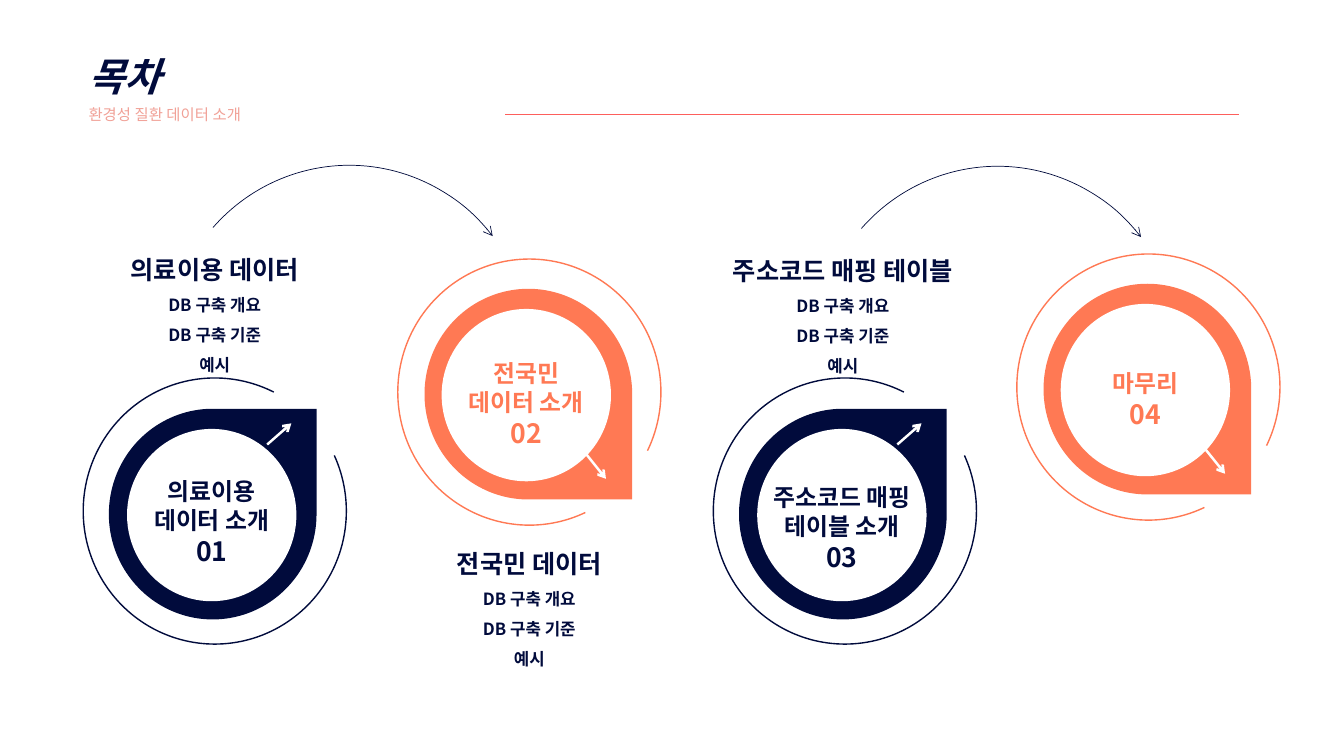
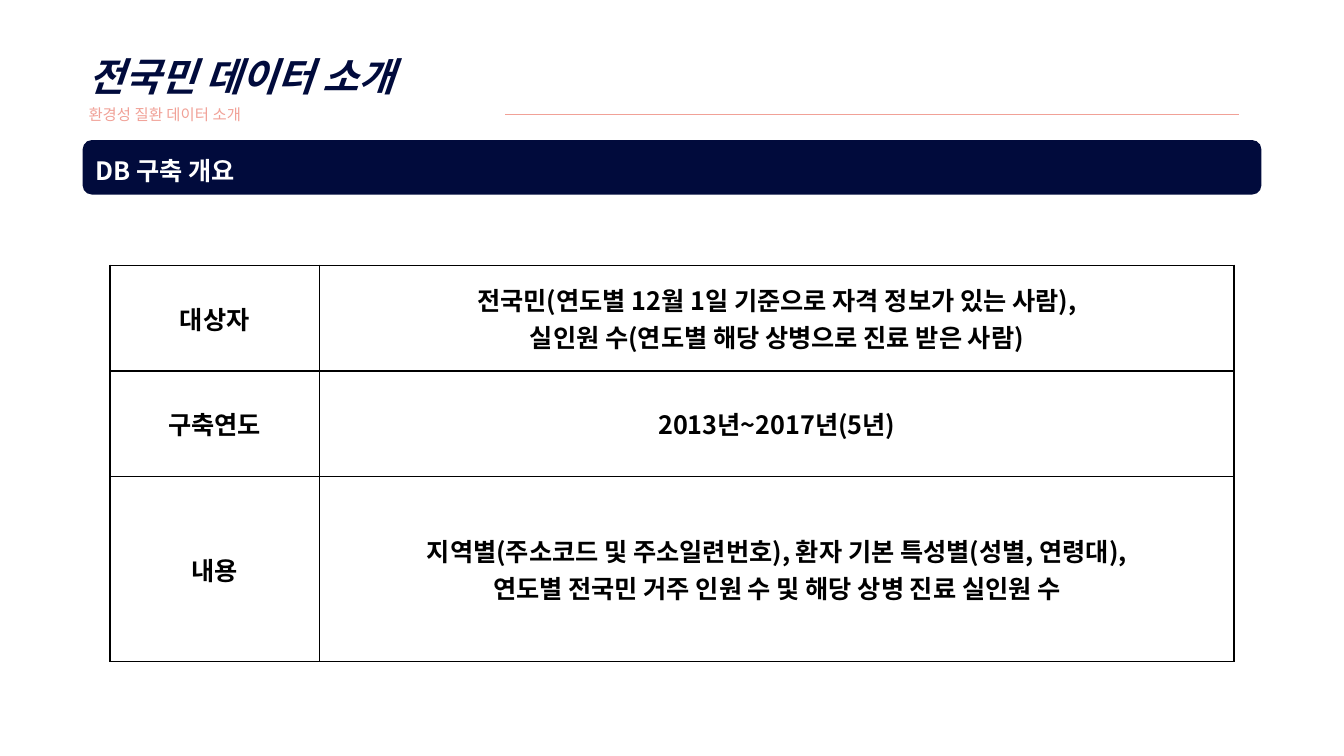
from dataclasses import dataclass

from lxml import etree
from pptx import Presentation
from pptx import util as u
from pptx.dml.color import RGBColor
from pptx.enum import shapes, text
from pptx.oxml import ns


@dataclass(frozen=True)
class Theme:
    font: str = "Noto Sans CJK KR"
    navy: str = "010B3C"
    coral: str = "FF7954"
    pink: str = "F1A197"
    red: str = "FD5F5C"
    white: str = "FFFFFF"
    black: str = "000000"
    title: float = 28
    subtitle: float = 11
    heading: float = 18
    item: float = 12
    dial: float = 17
    number: float = 19
    loose: float = 1.8     # line pitch as a multiple of the type size
    tight: float = 1.22
    table: float = 1.45


THEME = Theme()

# Content
SUBTITLE = "환경성 질환 데이터 소개"
AGENDA_TITLE = "목차"
OVERVIEW_TITLE = "전국민 데이터 소개"
OVERVIEW_BAND = "DB 구축 개요"
LIST_ITEMS = ["DB 구축 개요", "DB 구축 기준", "예시"]
# Dial: kind, teardrop centre, label lines, number, extra space above label
DIALS = [
    ("up", (2.11, 5.1), ["의료이용", "데이터 소개"], "01", 0.12),
    ("down", (5.24, 3.91), ["전국민", "데이터 소개"], "02", 0.17),
    ("up", (8.36, 5.1), ["주소코드 매핑", "테이블 소개"], "03", 0.24),
    ("down", (11.38, 3.86), ["마무리"], "04", 0.17),
]
# List: left, top, heading
LISTS = [
    (0.51, 2.32, "의료이용 데이터"),
    (3.63, 5.24, "전국민 데이터"),
    (6.74, 2.33, "주소코드 매핑 테이블"),
]
SWEEPS = [(1.66, 1.64), (8.09, 1.65)]
OVERVIEW_ROWS = [
    (1.05, ["대상자"], ["전국민(연도별 12월 1일 기준으로 자격 정보가 있는 사람),",
                     "실인원 수(연도별 해당 상병으로 진료 받은 사람)"]),
    (1.05, ["구축연도"], ["2013년~2017년(5년)"]),
    (1.83, ["내용"], ["지역별(주소코드 및 주소일련번호), 환자 기본 특성별(성별, 연령대),",
                    "연도별 전국민 거주 인원 수 및 해당 상병 진료 실인원 수"]),
]
OVERVIEW_COLUMNS = [2.08, 9.07]

# Dial looks: colour, rotation, ring offset, hole offset, arrow start and end offsets
DIAL_KINDS = {
    "up": (THEME.navy, 0, (0.02, -0.03), (-0.01, 0.01), (0.54, -0.69), (0.78, -0.9)),
    "down": (THEME.coral, 90, (0.01, -0.02), (-0.02, 0.01), (0.57, 0.59), (0.77, 0.84)),
}
DROP_SIZE = (2.06, 2.09)
RING_SIZE = (2.61, 2.64)
HOLE_SIZE = (1.68, 1.71)
RING_ANGLES = (335.07, 296.38)
SWEEP_ANGLES = (221.88, 321.6)


def inches(*values):
    return [u.Inches(value) for value in values]


def rgb(color):
    return RGBColor.from_string(color)


def write(frame, lines, align=text.PP_ALIGN.LEFT):
    """Fill a text frame with (words, size, colour, bold, pitch) lines."""
    for index, (words, size, color, bold, pitch) in enumerate(lines):
        paragraph = frame.paragraphs[0] if index == 0 else frame.add_paragraph()
        paragraph.text = words
        paragraph.alignment = align
        paragraph.line_spacing = u.Pt(round(size * pitch, 1))
        font = paragraph.font
        font.size, font.bold, font.name = u.Pt(size), bold, THEME.font
        font.color.rgb = rgb(color)
        # Korean letters take the East Asian typeface
        properties = paragraph._p.find(".//" + ns.qn("a:defRPr"))
        etree.SubElement(properties, ns.qn("a:ea"), typeface=THEME.font)


def add_text(slide, box, lines, align=text.PP_ALIGN.LEFT):
    frame = slide.shapes.add_textbox(*inches(*box)).text_frame
    frame.word_wrap = True
    write(frame, lines, align)


def add_arrowhead(line):
    etree.SubElement(line._get_or_add_ln(), ns.qn("a:tailEnd"), type="arrow")


def add_filled(slide, kind, box, color):
    shape = slide.shapes.add_shape(kind, *inches(*box))
    shape.shadow.inherit = False
    shape.fill.solid()
    shape.fill.fore_color.rgb = rgb(color)
    shape.line.fill.background()
    return shape


def add_arc(slide, box, angles, color, width):
    arc = slide.shapes.add_shape(shapes.MSO_SHAPE.ARC, *inches(*box))
    arc.shadow.inherit = False
    arc.fill.background()
    for index, angle in enumerate(angles):
        arc.adjustments[index] = angle * 0.6  # 60000 units a degree
    arc.line.color.rgb = rgb(color)
    arc.line.width = u.Pt(width)
    return arc


def add_line(slide, start, end, color, width):
    line = slide.shapes.add_connector(
        shapes.MSO_CONNECTOR.STRAIGHT, *inches(*start, *end))
    line.line.color.rgb = rgb(color)
    line.line.width = u.Pt(width)
    etree.SubElement(line._element.spPr, ns.qn("a:effectLst"))
    return line


def add_slide(presentation, title, rule_color):
    """Add a slide with the shared title, subtitle and rule."""
    slide = presentation.slides.add_slide(presentation.slide_layouts[5])
    heading = slide.shapes.title
    heading.left, heading.top, heading.width, heading.height = inches(
        0.78, 0.24, 6.67, 0.8)
    frame = heading.text_frame
    frame.word_wrap = True
    frame.auto_size = text.MSO_AUTO_SIZE.NONE
    frame.vertical_anchor = text.MSO_ANCHOR.TOP
    write(frame, [(title, THEME.title, THEME.navy, True, THEME.loose)])
    frame.paragraphs[0].font.italic = True
    add_text(slide, (0.78, 0.9, 6.67, 0.38),
             [(SUBTITLE, THEME.subtitle, THEME.pink, False, THEME.loose)])
    add_line(slide, (5.01, 1.13), (12.29, 1.13), rule_color, 0.5)
    return slide


def add_dial(slide, kind, center, label, number, space_above):
    color, rotation, ring_shift, hole_shift, arrow_start, arrow_end = DIAL_KINDS[kind]

    def shifted(offset):
        return center[0] + offset[0], center[1] + offset[1]

    def centered(size, offset=(0, 0), turned=False):
        width, height = size[::-1] if turned else size
        x, y = shifted(offset)
        return x - width / 2, y - height / 2, width, height

    turned = rotation != 0
    drop = add_filled(slide, shapes.MSO_SHAPE.TEAR, centered(DROP_SIZE, turned=turned), color)
    drop.rotation = rotation
    ring = add_arc(slide, centered(RING_SIZE, ring_shift, turned), RING_ANGLES, color, 1)
    ring.rotation = rotation
    arrow = add_line(slide, shifted(arrow_start), shifted(arrow_end), THEME.white, 1.75)
    add_arrowhead(arrow.line)

    hole = add_filled(slide, shapes.MSO_SHAPE.OVAL, centered(HOLE_SIZE, hole_shift), THEME.white)
    frame = hole.text_frame
    frame.word_wrap = False
    frame.vertical_anchor = text.MSO_ANCHOR.MIDDLE
    frame.margin_top = u.Inches(0.05 + space_above)
    lines = [(words, THEME.dial, color, True, THEME.tight) for words in label]
    lines.append((number, THEME.number, color, True, THEME.tight))
    write(frame, lines, text.PP_ALIGN.CENTER)


def set_borders(cell, color, width):
    properties = cell._tc.get_or_add_tcPr()
    for index, side in enumerate(("a:lnL", "a:lnR", "a:lnT", "a:lnB")):
        border = etree.Element(ns.qn(side), w=str(u.Pt(width)))
        fill = etree.SubElement(border, ns.qn("a:solidFill"))
        etree.SubElement(fill, ns.qn("a:srgbClr"), val=color)
        properties.insert(index, border)


def build_agenda(presentation):
    slide = add_slide(presentation, AGENDA_TITLE, THEME.red)
    for dial in DIALS:
        add_dial(slide, *dial)
    for left, top, heading in LISTS:
        lines = [(heading, THEME.heading, THEME.navy, True, THEME.loose)]
        lines += [(item, THEME.item, THEME.navy, True, THEME.loose) for item in LIST_ITEMS]
        add_text(slide, (left, top, 3.24, 1.43), lines, text.PP_ALIGN.CENTER)
    for left, top in SWEEPS:
        sweep = add_arc(slide, (left, top, 3.61, 3.66), SWEEP_ANGLES, THEME.navy, 0.5)
        add_arrowhead(sweep.line)


def build_overview(presentation):
    slide = add_slide(presentation, OVERVIEW_TITLE, THEME.pink)

    # Section band
    band = add_filled(slide, shapes.MSO_SHAPE.ROUNDED_RECTANGLE,
                      (0.82, 1.39, 11.69, 0.54), THEME.navy)
    band.text_frame.vertical_anchor = text.MSO_ANCHOR.MIDDLE
    write(band.text_frame,
          [(OVERVIEW_BAND, THEME.heading, THEME.white, True, THEME.table)])

    # Facts table
    height = sum(row[0] for row in OVERVIEW_ROWS)
    table = slide.shapes.add_table(
        len(OVERVIEW_ROWS), len(OVERVIEW_COLUMNS),
        *inches(1.09, 2.63, sum(OVERVIEW_COLUMNS), height)).table
    table.first_row = table.horz_banding = False
    for column, width in zip(table.columns, OVERVIEW_COLUMNS):
        column.width = u.Inches(width)
    for row, (row_height, *contents) in zip(table.rows, OVERVIEW_ROWS):
        row.height = u.Inches(row_height)
        for cell, content in zip(row.cells, contents):
            cell.fill.background()
            cell.vertical_anchor = text.MSO_ANCHOR.MIDDLE
            set_borders(cell, THEME.black, 1)
            write(cell.text_frame,
                  [(words, THEME.heading, THEME.black, True, THEME.table)
                   for words in content], text.PP_ALIGN.CENTER)


def main():
    presentation = Presentation()
    presentation.slide_width, presentation.slide_height = inches(13.33, 7.5)
    build_agenda(presentation)
    build_overview(presentation)
    presentation.save("out.pptx")


if __name__ == "__main__":
    main()
